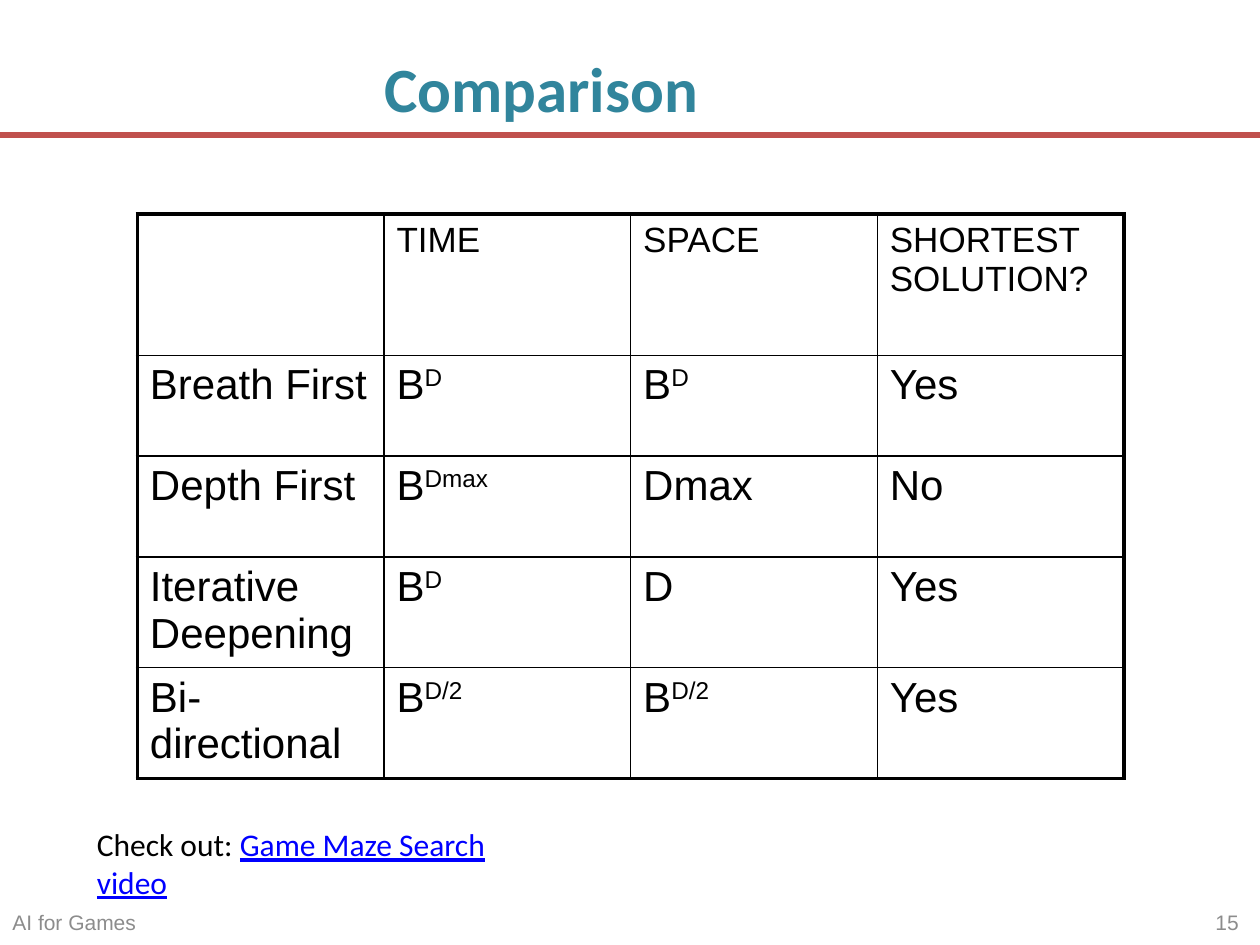
from lxml.etree import SubElement
from pptx import Presentation
from pptx.dml.color import RGBColor
from pptx.enum.shapes import MSO_CONNECTOR
from pptx.enum.text import MSO_ANCHOR, MSO_AUTO_SIZE, PP_ALIGN
from pptx.oxml import parse_xml
from pptx.oxml.ns import nsdecls, qn
from pptx.util import Inches, Pt

COLORS = {
    "title": "31859C",
    "rule": "C0504D",
    "text": "000000",
    "footer": "8C8C8C",
    "link": "0000FF",
}


def style(font, name, size, color):
    font.name = name
    font.size = Pt(size)
    font.color.rgb = RGBColor.from_string(COLORS[color])


def set_borders(cell, widths):
    """Draw the left, right, top and bottom borders, with widths in points."""
    tcPr = cell._tc.get_or_add_tcPr()
    for i, (side, width) in enumerate(zip("LRTB", widths)):
        tcPr.insert(i, parse_xml(
            f'<a:ln{side} {nsdecls("a")} w="{Pt(width)}"><a:solidFill>'
            f'<a:srgbClr val="{COLORS["text"]}"/></a:solidFill></a:ln{side}>'))


prs = Presentation()
prs.slide_width, prs.slide_height = Inches(10), Inches(7.5)
s = prs.slides.add_slide(prs.slide_layouts[5])

# Rule under the title
rule = s.shapes.add_connector(
    MSO_CONNECTOR.STRAIGHT, 0, Inches(1.07), Inches(10), Inches(1.07))
rule.line.color.rgb = RGBColor.from_string(COLORS["rule"])
rule.line.width = Pt(3.5)
SubElement(rule._element.spPr, qn("a:effectLst"))

# Title
title = s.shapes.title
title.left, title.top = Inches(0.5), Inches(0.3)
title.width, title.height = Inches(7.73), Inches(0.69)
tf = title.text_frame
tf.vertical_anchor = MSO_ANCHOR.MIDDLE
p = tf.paragraphs[0]
p.alignment = PP_ALIGN.CENTER
r = p.add_run()
r.text = "Comparison"
style(r.font, "Calibri", 36, "title")
r.font.bold = True
r = p.add_run()
r.text = " "
style(r.font, "Calibri", 44, "text")

# Comparison table; "^" starts a superscript
rows = [
    ["", "TIME", "SPACE", "SHORTEST SOLUTION?"],
    ["Breath First", "B^D", "B^D", "Yes"],
    ["Depth First", "B^Dmax", "Dmax", "No"],
    ["Iterative Deepening", "B^D", "D", "Yes"],
    ["Bi-directional", "B^D/2", "B^D/2", "Yes"],
]
heights = [1.12, 0.8, 0.8, 0.88, 0.88]
last_row, last_col = len(rows) - 1, len(rows[0]) - 1
table = s.shapes.add_table(
    len(rows), len(rows[0]), Inches(1.09), Inches(1.7),
    Inches(7.83), Inches(sum(heights))).table
table.first_row = table.horz_banding = False
for i, (row, height) in enumerate(zip(rows, heights)):
    table.rows[i].height = Inches(height)
    for j, text in enumerate(row):
        cell = table.cell(i, j)
        cell.fill.background()
        outer = (j == 0, j == last_col, i == 0, i == last_row)
        set_borders(cell, [2.25 if edge else 1 for edge in outer])
        p = cell.text_frame.paragraphs[0]
        style(p.font, "Arial", 20 if i == 0 else 24, "text")
        base, _, exponent = text.partition("^")
        if base:
            p.add_run().text = base
        if exponent:
            r = p.add_run()
            r.text = exponent
            r.font._element.set("baseline", "30000")

# Video reference
tf = s.shapes.add_textbox(
    Inches(0.67), Inches(6.5), Inches(3.72), Inches(0.4)).text_frame
tf.word_wrap = False
tf.auto_size = MSO_AUTO_SIZE.SHAPE_TO_FIT_TEXT
p = tf.paragraphs[0]
for text, color in [("Check out: ", "text"), ("Game Maze Search video", "link")]:
    r = p.add_run()
    r.text = text
    style(r.font, "Calibri", 18, color)
r.font.underline = True

# Footer and slide number
for text, left, width, align in [
    ("AI for Games", 0, 4.61, PP_ALIGN.LEFT),
    ("15", 7.6, 2.33, PP_ALIGN.RIGHT),
]:
    tf = s.shapes.add_textbox(
        Inches(left), Inches(7.13), Inches(width), Inches(0.37)).text_frame
    tf.word_wrap = True
    tf.vertical_anchor = MSO_ANCHOR.MIDDLE
    p = tf.paragraphs[0]
    p.text = text
    p.alignment = align
    style(p.font, "Arial", 12, "footer")

prs.save("out.pptx")
